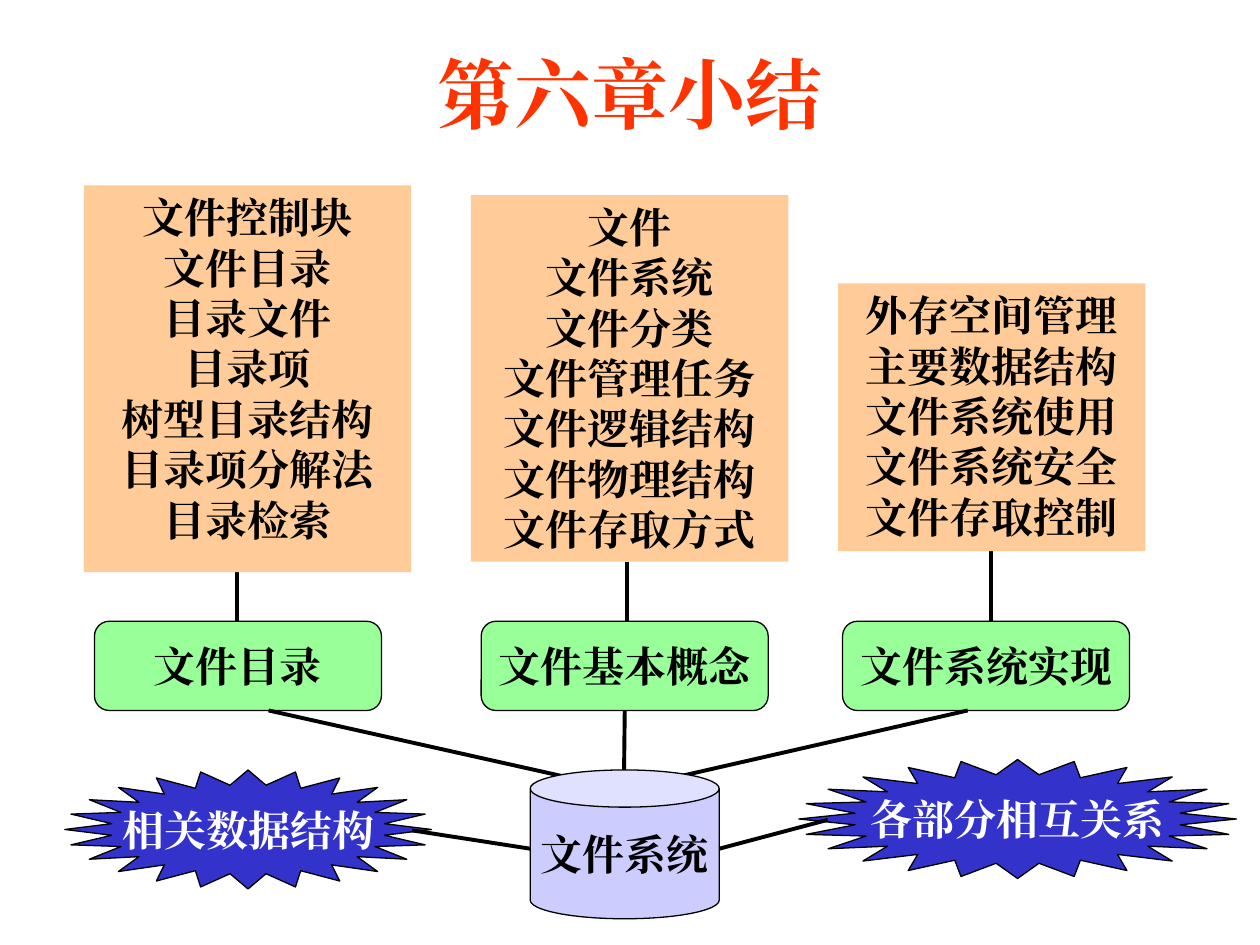
from pptx import Presentation
from pptx.dml.color import RGBColor
from pptx.enum.shapes import MSO_CONNECTOR as LINK, MSO_SHAPE as SHAPE
from pptx.enum.text import MSO_ANCHOR as ANCHOR, PP_ALIGN as ALIGN
from pptx.oxml.ns import qn
from pptx.util import Pt
from lxml import etree

COLORS = {
    "title": "FF3300", "list": "FFCC99", "topic": "99FF99", "system": "CCCCFF",
    "star": "3333CC", "ink": "000000", "light": "FFFFFF",
}
FONT = "Times New Roman"
TOPIC_TOP, TOPIC_WIDTH, TOPIC_HEIGHT = 355, 164, 51
STEM_END = 361
SYSTEM_BOX = (303, 440, 108, 85)
TOPICS = [
    ("文件目录", 54, (48, 106, 187, 221), 135.5,
     ["文件控制块", "文件目录", "目录文件", "目录项", "树型目录结构", "目录项分解法", "目录检索"]),
    ("文件基本概念", 275, (269, 111.5, 181.5, 209.5), 358.5,
     ["文件", "文件系统", "文件分类", "文件管理任务", "文件逻辑结构", "文件物理结构", "文件存取方式"]),
    ("文件系统实现", 481.5, (479, 162, 175.5, 153), 566.5,
     ["外存空间管理", "主要数据结构", "文件系统使用", "文件系统安全", "文件存取控制"]),
]


def color(name):
    return RGBColor.from_string(COLORS[name])


def write(frame, lines, size, ink):
    frame.text = "\n".join(lines)
    for para in frame.paragraphs:
        para.alignment = ALIGN.CENTER
        for span in para.runs:
            span.font.name = FONT
            span.font.size = Pt(size)
            span.font.bold = True
            span.font.color.rgb = color(ink)
            east = etree.SubElement(span.font._element, qn("a:ea"))
            east.set("typeface", FONT)


def add_box(page, kind, box, fill, lines, ink="ink", outlined=True):
    shape = page.shapes.add_shape(kind, *map(Pt, box))
    shape.shadow.inherit = False
    shape.fill.solid()
    shape.fill.fore_color.rgb = color(fill)
    if outlined:
        shape.line.color.rgb = color("ink")
        shape.line.width = Pt(0.75)
    else:
        shape.line.fill.background()
    frame = shape.text_frame
    frame.word_wrap = not outlined
    frame.vertical_anchor = ANCHOR.MIDDLE if outlined else ANCHOR.TOP
    write(frame, lines, 24, ink)
    return shape


def add_line(page, start, end):
    line = page.shapes.add_connector(LINK.STRAIGHT, *map(Pt, start + end))
    line.line.color.rgb = color("ink")
    line.line.width = Pt(2.25)
    etree.SubElement(line._element.spPr, qn("a:effectLst"))
    return line


def add_title(page, box, text):
    title = page.shapes.title
    title.left, title.top, title.width, title.height = map(Pt, box)
    title.text_frame.vertical_anchor = ANCHOR.MIDDLE
    write(title.text_frame, [text], 44, "title")


def add_topic(page, label, left, list_box, stem, lines):
    bottom = list_box[1] + list_box[3]
    add_line(page, (stem, bottom), (stem, STEM_END))
    add_box(page, SHAPE.RECTANGLE, list_box, "list", lines, outlined=False)
    box = (left, TOPIC_TOP, TOPIC_WIDTH, TOPIC_HEIGHT)
    return add_box(page, SHAPE.ROUNDED_RECTANGLE, box, "topic", [label])


def add_system(page, box, topics):
    left, top, width, height = box
    hub = (left + width / 2, top + 11.5)
    topic_bottom = TOPIC_TOP + TOPIC_HEIGHT
    add_line(page, hub, (153.5, topic_bottom))
    add_line(page, (356.5, hub[1]), (356.5, topic_bottom)).end_connect(topics[1], 2)
    add_line(page, (354, hub[1]), (553, topic_bottom))
    add_box(page, SHAPE.CAN, box, "system", ["文件系统"])


def add_star(page, box, text, start, end):
    add_box(page, SHAPE.STAR_24_POINT, box, "star", [text], "light")
    add_line(page, start, end)


def main():
    deck = Presentation()
    deck.slide_width, deck.slide_height = Pt(720), Pt(540)
    page = deck.slides.add_slide(deck.slide_layouts[5])
    add_title(page, (54, 20, 612, 66), "第六章小结")
    topics = [add_topic(page, *topic) for topic in TOPICS]
    add_system(page, SYSTEM_BOX, topics)
    left, top, width, height = SYSTEM_BOX
    joint = top + 45
    add_star(page, (37, 440, 209.5, 68), "相关数据结构", (left, joint), (235.5, 474.5))
    add_star(page, (456.5, 434, 250, 68), "各部分相互关系", (left + width, joint), (473, 468.5))
    deck.save("out.pptx")


if __name__ == "__main__":
    main()
